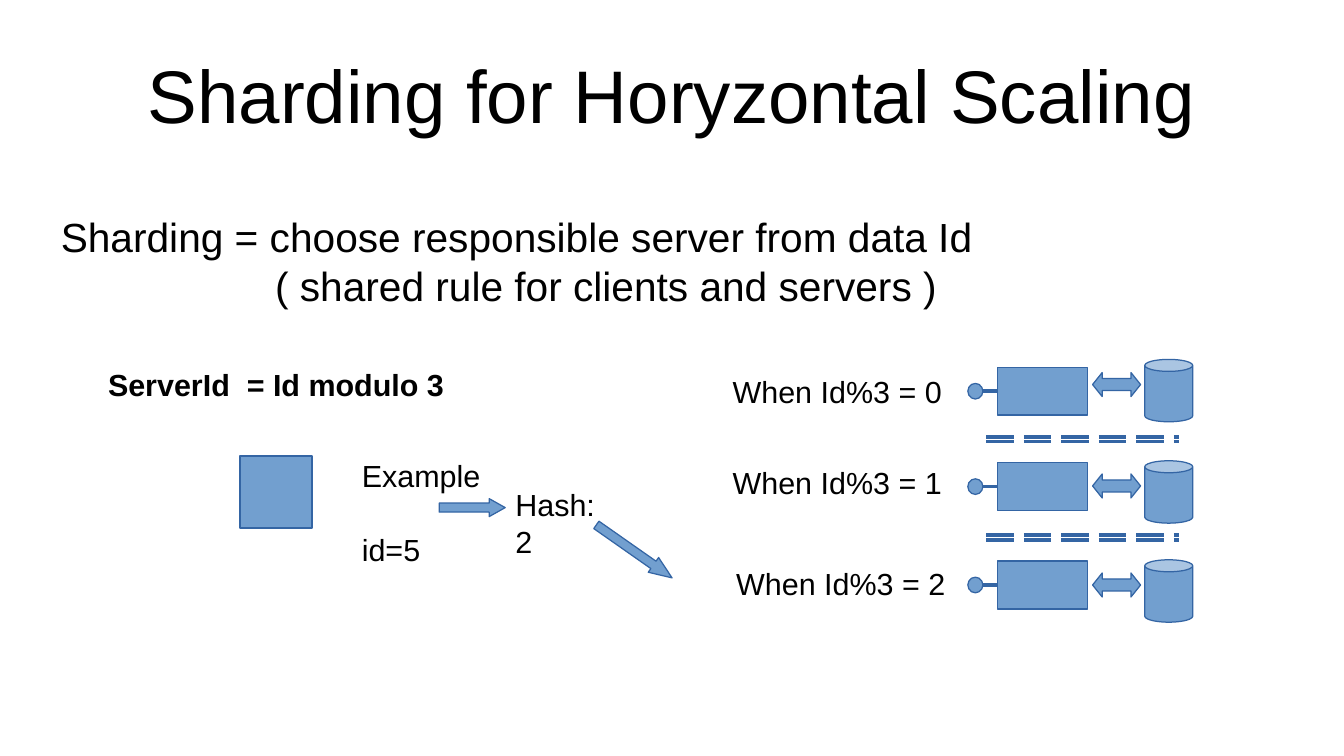
import pptx
import pptx.util
import pptx.dml.color
import pptx.enum.dml
import pptx.enum.shapes
import pptx.enum.text
import pptx.oxml

Pt = pptx.util.Pt
SHAPE = pptx.enum.shapes.MSO_SHAPE
BLACK = pptx.dml.color.RGBColor(0x00, 0x00, 0x00)
FILL = pptx.dml.color.RGBColor(0x72, 0x9F, 0xCF)
OUTLINE = pptx.dml.color.RGBColor(0x34, 0x65, 0xA4)

presentation = pptx.Presentation()
presentation.slide_width = pptx.util.Cm(28)
presentation.slide_height = pptx.util.Cm(15.75)
# Grid of 112 columns by 63 rows of square cells
CELL = presentation.slide_width / 112
slide = presentation.slides.add_slide(presentation.slide_layouts[1])


def cells(*counts):
    """Turn counts of columns or rows into slide lengths."""
    return [round(count * CELL) for count in counts]


def write_text(text, area, placeholder=None, size=18, bold=False, inset=True,
               align=pptx.enum.text.PP_ALIGN.LEFT,
               anchor=pptx.enum.text.MSO_ANCHOR.TOP, indent=0, gap=0):
    """Write lines into a placeholder or a new text box.

    indent (columns) and gap (points) apply to the lines after the first.
    """
    shape = placeholder or slide.shapes.add_textbox(*cells(*area))
    shape.left, shape.top, shape.width, shape.height = cells(*area)
    frame = shape.text_frame
    frame.text = text
    frame.word_wrap = True
    frame.auto_size = pptx.enum.text.MSO_AUTO_SIZE.NONE
    frame.vertical_anchor = anchor
    frame.margin_left = frame.margin_right = Pt(7.2 if inset else 0)
    frame.margin_top = frame.margin_bottom = Pt(3.6 if inset else 0)
    for number, paragraph in enumerate(frame.paragraphs):
        properties = paragraph._p.get_or_add_pPr()
        properties.set("marL", str(cells(indent)[0] if number else 0))
        properties.set("indent", "0")
        properties.append(pptx.oxml.parse_xml(
            '<a:buNone xmlns:a="http://schemas.openxmlformats.org/drawingml/2006/main"/>'))
        paragraph.alignment = align
        paragraph.space_before = Pt(gap if number else 0)
        for run in paragraph.runs:
            run.font.name = "Arial"
            run.font.size = Pt(size)
            run.font.bold = bold
            run.font.color.rgb = BLACK


def add_figure(kind, *area, adjustments=(), rotation=0):
    """Add a preset shape, or a straight line when kind is None."""
    if kind is None:
        shape = slide.shapes.add_connector(
            pptx.enum.shapes.MSO_CONNECTOR.STRAIGHT, *cells(*area))
        shape._element.spPr.append(pptx.oxml.parse_xml(
            '<a:effectLst xmlns:a="http://schemas.openxmlformats.org/drawingml/2006/main"/>'))
    else:
        shape = slide.shapes.add_shape(kind, *cells(*area))
        shape.shadow.inherit = False
        shape.fill.solid()
        shape.fill.fore_color.rgb = FILL
        shape.rotation = rotation
        for index, value in enumerate(adjustments):
            shape.adjustments[index] = value
    shape.line.color.rgb = OUTLINE
    shape.line.width = Pt(0)
    return shape


write_text("Sharding for Horyzontal Scaling", (5.6, 2.55, 100.8, 10.55),
           placeholder=slide.shapes.title, size=44, inset=False,
           align=pptx.enum.text.PP_ALIGN.CENTER,
           anchor=pptx.enum.text.MSO_ANCHOR.MIDDLE)
write_text("Sharding = choose responsible server from data Id\n"
           "( shared rule for clients and servers )", (4.05, 17.15, 82, 8.5),
           placeholder=slide.placeholders[1], size=24, indent=17.85)

# One row per shard: label column, label row, server row, database row
shards = [(60.05, 30.6, 30.6, 29.95),
          (60.05, 38.2, 38.55, 38.4),
          (60.35, 46.55, 46.75, 46.65)]
for remainder, (label_left, label_top, server_top, database_top) in enumerate(shards):
    write_text(f"When Id%3 = {remainder}", (label_left, label_top, 19.6, 3.9))
    server = add_figure(SHAPE.RECTANGLE, 83.1, server_top, 7.5, 4)
    add_figure(SHAPE.OVAL, 80.65, server_top + 1.35, 1.25, 1.3)
    link = add_figure(None, 81.9, server_top + 2, 83.1, server_top + 2)
    link.end_connect(server, 1)
    add_figure(SHAPE.LEFT_RIGHT_ARROW, 91.05, database_top + 1.1, 4, 2,
               adjustments=(0.5, 0.4))
    add_figure(SHAPE.CAN, 95.4, database_top, 4, 5.2, adjustments=(0.25,))

for separator_top in (36.4, 44.6):
    for row in (separator_top, separator_top + 0.4):
        separator = add_figure(None, 82.2, row, 98.25, row)
        separator.line.dash_style = pptx.enum.dml.MSO_LINE.LONG_DASH

# Worked example
write_text("ServerId  = Id modulo 3", (8, 30, 30.1, 3.9), bold=True)
add_figure(SHAPE.RECTANGLE, 20, 38, 6, 6)
write_text("Example\nid=5", (29.15, 37.6, 12.6, 9.55), gap=22)
add_figure(SHAPE.RIGHT_ARROW, 36.6, 41.55, 5.5, 1.5, adjustments=(0.5, 0.89))
write_text("Hash: 2", (41.95, 40, 10, 11.05))
add_figure(SHAPE.RIGHT_ARROW, 49, 45.2, 7.7, 1.5, adjustments=(0.5, 1.26), rotation=35)

presentation.save("out.pptx")
